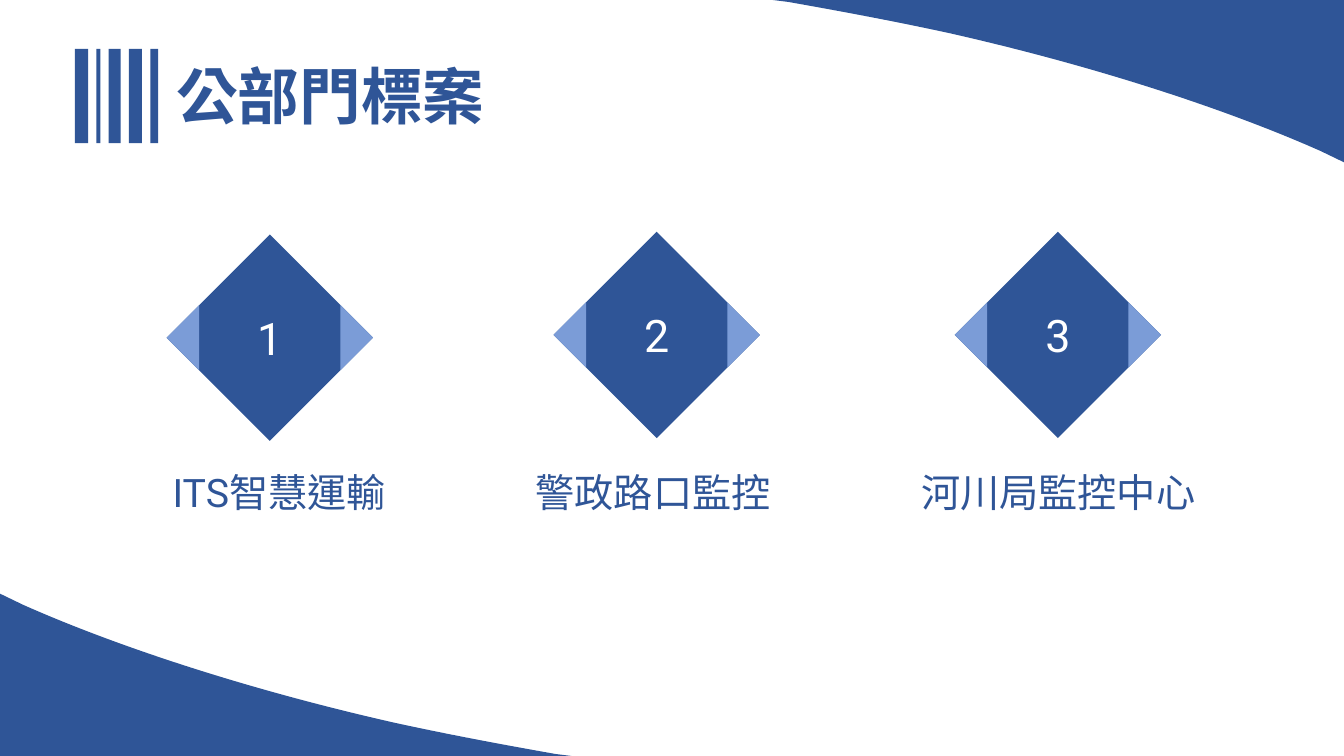
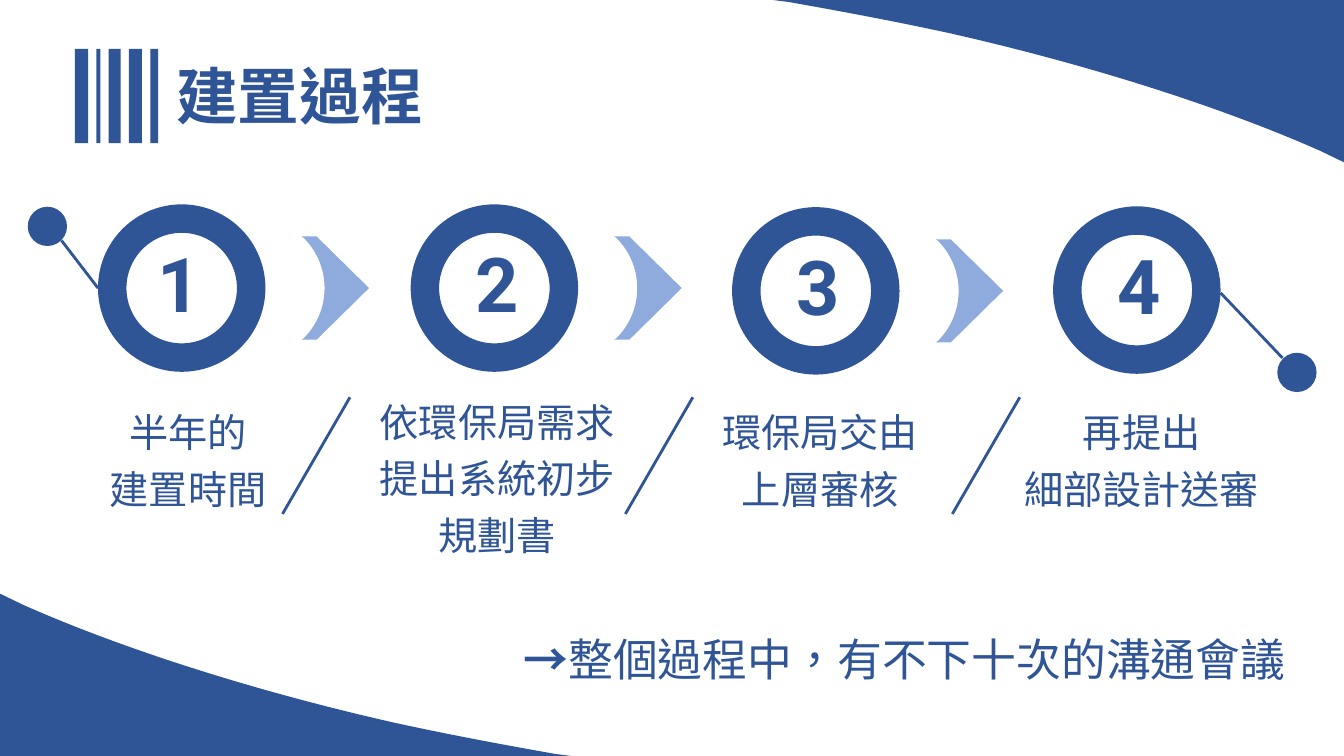
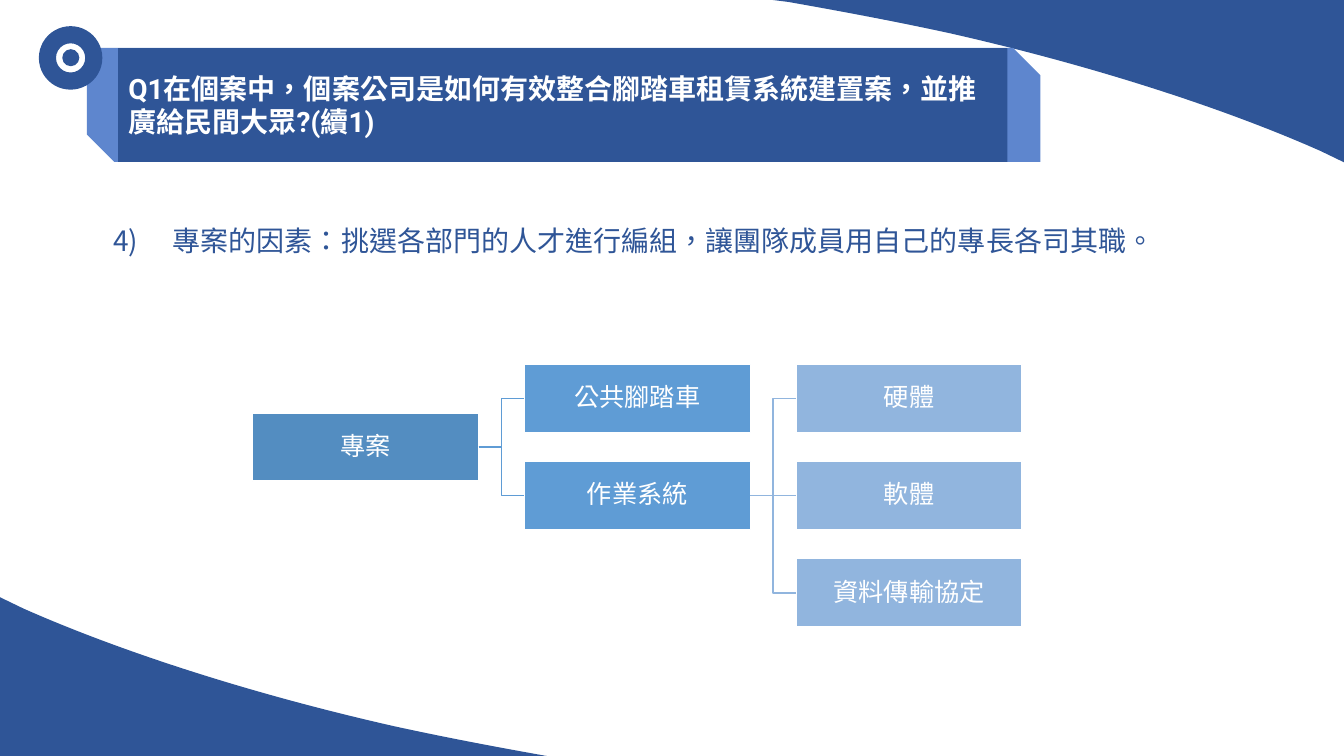
from dataclasses import dataclass

from lxml.etree import SubElement
from pptx import Presentation
from pptx.dml.color import RGBColor
from pptx.enum.shapes import MSO_CONNECTOR as Link, MSO_SHAPE as Preset
from pptx.enum.text import MSO_ANCHOR as Anchor, MSO_AUTO_SIZE as AutoSize, PP_ALIGN as Align
from pptx.oxml.ns import qn
from pptx.util import Cm, Pt

Point = tuple[float, float]

WIDTH, HEIGHT = 33.87, 19.05
NAVY, WHITE = "2F5597", "FFFFFF"
TIP_BLUE, ARROW_BLUE, RIBBON_BLUE = "7B9CD7", "8FAADC", "5E86CE"
LEVEL_BLUES = ("538DC1", "5F9CD5", "91B5DE")
LATIN, CJK = "Roboto", "Noto Sans CJK SC"
NO_TABLE_STYLE = "{2D5ABB26-0587-4C30-8999-92F81FD0307C}"
TITLE_ONLY, TITLE_AND_BODY = 5, 1

STRIPES = ((1.89, 0.33), (2.43, 0.1), (2.74, 0.3), (3.25, 0.33), (3.79, 0.2))

# Each wave and arrow lists its corners; a curve start is followed by control points.
WAVE = ((0, 14.96), (0.58, 15.24), (2.92, 16.28), (6.22, 17.37), (9.93, 18.21),
        (11.35, 18.52), (12.7, 18.77), (14, 19), (14.4, HEIGHT), (0, HEIGHT))
WAVE_CURVES = (1, 4)
ARROW = ((0, 0), (0.38, 0), (1.7, 1.3), (0.38, 2.6), (0, 2.6), (0.05, 2.57),
         (0.38, 2.24), (0.58, 1.8), (0.58, 1.3), (0.58, 0.8), (0.38, 0.36), (0.05, 0.03))
ARROW_CURVES = (5, 8)


@dataclass(frozen=True)
class Tender:
    number: str
    name: str
    left: float
    top: float
    name_left: float
    name_width: float


@dataclass(frozen=True)
class Step:
    number: str
    caption: str
    ring_left: float
    ring_top: float
    number_left: float
    caption_left: float
    caption_top: float = 9.43


@dataclass(frozen=True)
class Satellite:
    start: Point
    end: Point
    dot: Point


@dataclass(frozen=True)
class Node:
    label: str
    level: int
    row: float
    parent: str = ""


TENDERS = (
    Tender("1", "ITS智慧運輸", 4.2, 5.91, 3.25, 7.57),
    Tender("2", "警政路口監控", 13.95, 5.84, 11.94, 9.04),
    Tender("3", "河川局監控中心", 24.06, 5.84, 21.88, 9.58),
)
STEPS = (
    Step("1", "半年的\n建置時間", 2.47, 5.15, 3.28, 1.45),
    Step("2", "依環保局需求提出系統初步規劃書", 10.35, 5.15, 11.28, 9.24, 9.75),
    Step("3", "環保局交由\n上層審核", 18.45, 5.22, 19.38, 17.38),
    Step("4", "再提出\n細部設計送審", 26.54, 5.2, 27.46, 25.48),
)
SATELLITES = (
    Satellite((2.47, 7.26), (1.55, 6.06), (0.7, 5.21)),
    Satellite((30.76, 7.38), (32.32, 9.02), (32.19, 8.89)),
)
SLASH_RIGHTS = (8.82, 17.46, 25.7)
NODES = (
    Node("專案", 0, 0.5),
    Node("公共腳踏車", 1, 0, "專案"),
    Node("作業系統", 1, 1, "專案"),
    Node("硬體", 2, 0, "作業系統"),
    Node("軟體", 2, 1, "作業系統"),
    Node("資料傳輸協定", 2, 2, "作業系統"),
)


def colour(hex_code: str) -> RGBColor:
    return RGBColor.from_string(hex_code)


def paint(shape, fill: str, line: str = "") -> None:
    shape.shadow.inherit = False
    shape.fill.solid()
    shape.fill.fore_color.rgb = colour(fill)
    if line:
        shape.line.color.rgb = colour(line)
        shape.line.width = Pt(1)
    else:
        shape.line.fill.background()


def place(shape, left: float, top: float, width: float, height: float) -> None:
    shape.left, shape.top = Cm(left), Cm(top)
    shape.width, shape.height = Cm(width), Cm(height)


def add_preset(slide, preset, left: float, top: float, width: float, height: float,
               fill: str = NAVY, line: str = ""):
    shape = slide.shapes.add_shape(preset, Cm(left), Cm(top), Cm(width), Cm(height))
    paint(shape, fill, line)
    return shape


def add_outline(slide, points: list[Point], fill: str, curves: tuple[int, ...] = ()) -> None:
    """Closed outline; each index in curves starts a Bezier curve over the next three points."""
    corners = [(Cm(x), Cm(y)) for x, y in points]
    builder = slide.shapes.build_freeform(*corners[0])
    builder.add_line_segments(corners[1:], close=True)
    outline = builder.convert_to_shape()
    segments = list(outline.element.iter(qn("a:lnTo")))
    for start in curves:
        first, *others = segments[start:start + 3]
        first.tag = qn("a:cubicBezTo")
        for segment in others:
            first.append(segment[0])
            segment.getparent().remove(segment)
    paint(outline, fill)


def add_link(slide, kind, start: Point, end: Point, line: str = NAVY, width: float = 2):
    link = slide.shapes.add_connector(kind, Cm(start[0]), Cm(start[1]), Cm(end[0]), Cm(end[1]))
    link.line.color.rgb = colour(line)
    link.line.width = Pt(width)
    SubElement(link.element.spPr, qn("a:effectLst"))
    return link


def style(frame, size: float, color: str = NAVY, bold: bool = False,
          align=Align.CENTER, latin: str = LATIN) -> None:
    for paragraph in frame.paragraphs:
        paragraph.alignment = align
        for run in paragraph.runs:
            run.font.size, run.font.bold, run.font.name = Pt(size), bold, latin
            run.font.color.rgb = colour(color)
            properties = run._r.get_or_add_rPr()
            properties.set("lang", "zh-TW")
            SubElement(properties, qn("a:ea"), typeface=CJK)


def write(shape, text: str, size: float, anchor=Anchor.MIDDLE, **look):
    frame = shape.text_frame
    frame.text = text
    frame.word_wrap = True
    frame.auto_size = AutoSize.NONE
    frame.vertical_anchor = anchor
    style(frame, size, **look)
    return frame


def add_label(slide, text: str, left: float, top: float, width: float, height: float,
              size: float):
    box = slide.shapes.add_textbox(Cm(left), Cm(top), Cm(width), Cm(height))
    return write(box, text, size)


def add_cell(slide, text: str, left: float, top: float, width: float, height: float,
             size: float, bold: bool = False) -> None:
    """A one-cell table with no fill and no borders."""
    holder = slide.shapes.add_table(1, 1, Cm(left), Cm(top), Cm(width), Cm(height))
    holder.table.first_row = holder.table.horz_banding = False
    for style_id in holder.element.iter(qn("a:tableStyleId")):
        style_id.text = NO_TABLE_STYLE
    cell = holder.table.cell(0, 0)
    cell.fill.background()
    cell.vertical_anchor = Anchor.MIDDLE
    cell.text_frame.text = text
    style(cell.text_frame, size, bold=bold)


def add_waves(slide, drop: float) -> None:
    """Lower left wave, moved down by drop, and its half turn at the upper right."""
    add_outline(slide, [(x, y + drop) for x, y in WAVE], NAVY, WAVE_CURVES)
    add_outline(slide, [(WIDTH - x, HEIGHT - y) for x, y in WAVE], NAVY, WAVE_CURVES)


def new_slide(deck, layout: int, drop: float = 0):
    slide = deck.slides.add_slide(deck.slide_layouts[layout])
    add_waves(slide, drop)
    return slide


def new_striped_slide(deck, heading: str):
    slide = new_slide(deck, TITLE_ONLY)
    place(slide.shapes.title, 4.19, 1.32, 21.59, 2.13)
    write(slide.shapes.title, heading, 44, bold=True, align=Align.LEFT, latin=CJK)
    for left, width in STRIPES:
        add_preset(slide, Preset.RECTANGLE, left, 1.23, width, 2.38)
    return slide


def build_tenders(deck) -> None:
    slide = new_striped_slide(deck, "公部門標案")
    side, tip = 5.2, 0.82
    for tender in TENDERS:
        diamond = add_preset(slide, Preset.DIAMOND, tender.left, tender.top, side, side)
        write(diamond, tender.number, 32, color=WHITE)
        middle = tender.top + side / 2
        for corner, inward in ((tender.left, tip), (tender.left + side, -tip)):
            add_outline(slide, [(corner, middle), (corner + inward, middle - tip),
                                (corner + inward, middle + tip)], TIP_BLUE)
        add_label(slide, tender.name, tender.name_left, 11.67, tender.name_width, 1.45, 28)


def add_arrow(slide, left: float, top: float) -> None:
    add_outline(slide, [(left + x, top + y) for x, y in ARROW], ARROW_BLUE, ARROW_CURVES)


def build_process(deck) -> None:
    slide = new_striped_slide(deck, "建置過程")
    for step in STEPS:
        ring = add_preset(slide, Preset.DONUT, step.ring_left, step.ring_top, 4.22, 4.22)
        ring.adjustments[0] = 0.17
        if step is not STEPS[-1]:
            add_arrow(slide, step.ring_left + 5.13, step.ring_top + 0.81)
        add_cell(slide, step.number, step.number_left, step.ring_top + 0.84, 2.49, 2.49,
                 54, bold=True)
        add_cell(slide, step.caption, step.caption_left, step.caption_top, 6.58, 4.27, 28)
    for right in SLASH_RIGHTS:
        add_link(slide, Link.STRAIGHT, (right, 10.01), (right - 1.7, 12.95))
    for satellite in SATELLITES:
        add_link(slide, Link.STRAIGHT, satellite.start, satellite.end)
        add_preset(slide, Preset.OVAL, *satellite.dot, 0.99, 0.99)

    meetings = add_label(slide, "→", 12.93, 15.79, 19.74, 1.63, 32)
    meetings.word_wrap = False
    meetings.paragraphs[0].add_run().text = "整個過程中，有不下十次的溝通會議"
    style(meetings, 32)
    meetings.paragraphs[0].runs[0].font.bold = True


def add_question(slide, question: str) -> None:
    ribbon = add_preset(slide, Preset.SNIP_2_DIAG_RECTANGLE, 2.19, 1.21, 24.03, 2.87, RIBBON_BLUE)
    ribbon.adjustments[0], ribbon.adjustments[1] = 0, 0.24
    title = slide.shapes.title
    place(title, 2.98, 1.21, 22.41, 2.87)
    paint(title, NAVY)
    write(title, question, 20, color=WHITE, bold=True, align=Align.LEFT)
    slide.shapes.element.append(title.element)  # bring in front of the ribbon
    ring = add_preset(slide, Preset.DONUT, 0.98, 0.66, 1.6, 1.6)
    ring.adjustments[0] = 0.27
    add_preset(slide, Preset.OVAL, 1.57, 1.24, 0.43, 0.43)


def add_numbered_point(slide, text: str, number: int) -> None:
    body = slide.placeholders[1]
    place(body, 2.6, 5.08, 26.95, 2.67)
    frame = write(body, text, 20, anchor=Anchor.TOP, align=Align.LEFT)
    point = frame.paragraphs[0]
    properties = point._p.get_or_add_pPr()
    properties.set("marL", str(Cm(1.5)))
    properties.set("indent", str(Cm(-1.5)))
    SubElement(properties, qn("a:buAutoNum"), type="arabicParenR", startAt=str(number))
    point.line_spacing = 1.5
    point.space_before = Pt(0)


def add_tree(slide) -> None:
    boxes = {}
    for node in NODES:
        blue = LEVEL_BLUES[node.level]
        box = add_preset(slide, Preset.RECTANGLE, 6.36 + 6.85 * node.level,
                         9.18 + 2.45 * node.row, 5.7, 1.72, blue, WHITE)
        frame = write(box, node.label, 18, color=WHITE, latin=CJK)
        frame.margin_left = frame.margin_right = Cm(0.03)
        frame.margin_top = frame.margin_bottom = Cm(0.03)
        frame.paragraphs[0].line_spacing = 0.9
        boxes[node.label] = box
        if node.parent:
            parent = boxes[node.parent]
            kind = Link.STRAIGHT if parent.top == box.top else Link.ELBOW
            link = add_link(slide, kind, (0, 0), (1, 1), blue, 1)
            link.begin_connect(parent, 3)
            link.end_connect(box, 1)


def build_project_factors(deck) -> None:
    slide = new_slide(deck, TITLE_AND_BODY, drop=0.09)
    add_question(slide, "Q1在個案中，個案公司是如何有效整合腳踏車租賃系統建置案，並推廣給民間大眾?(續1)")
    add_numbered_point(
        slide, "專案的因素：挑選各部門的人才進行編組，讓團隊成員用自己的專長各司其職。", 4)
    add_tree(slide)


def main() -> None:
    deck = Presentation()
    deck.slide_width, deck.slide_height = Cm(WIDTH), Cm(HEIGHT)
    build_tenders(deck)
    build_process(deck)
    build_project_factors(deck)
    deck.save("out.pptx")


if __name__ == "__main__":
    main()
